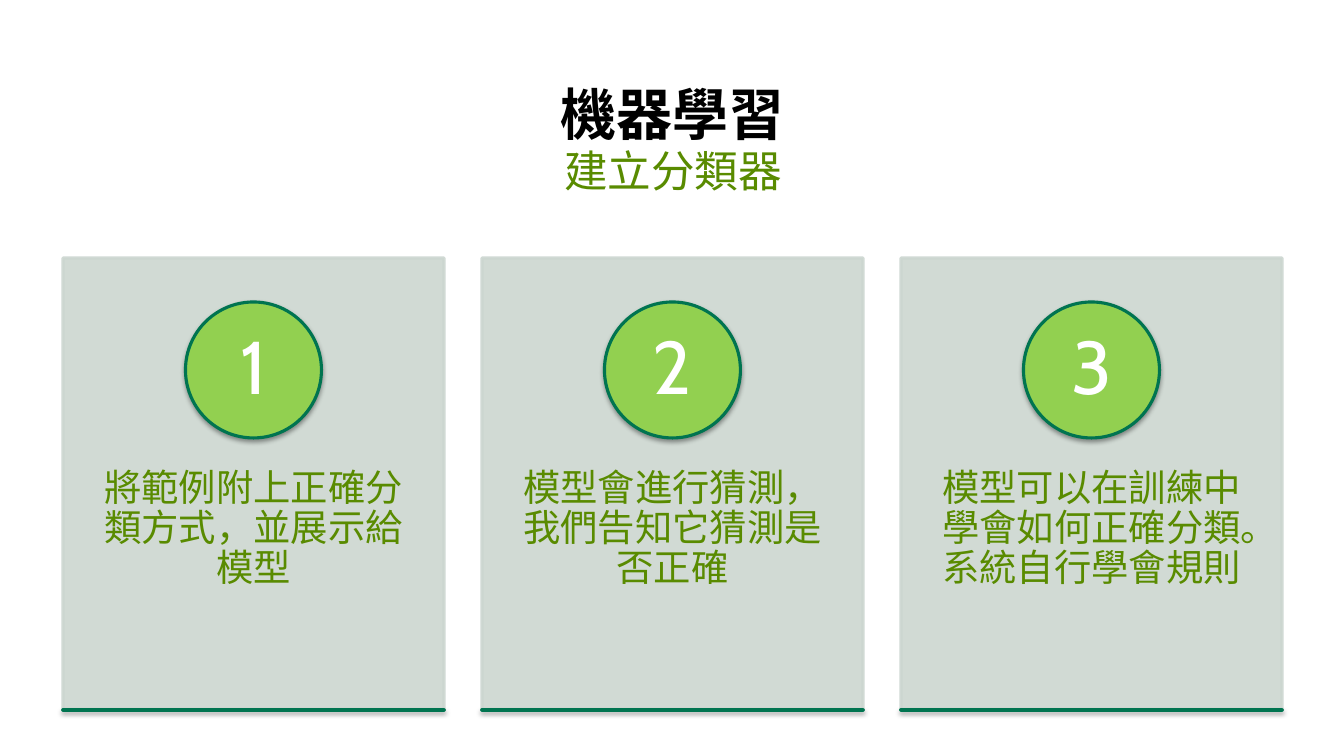
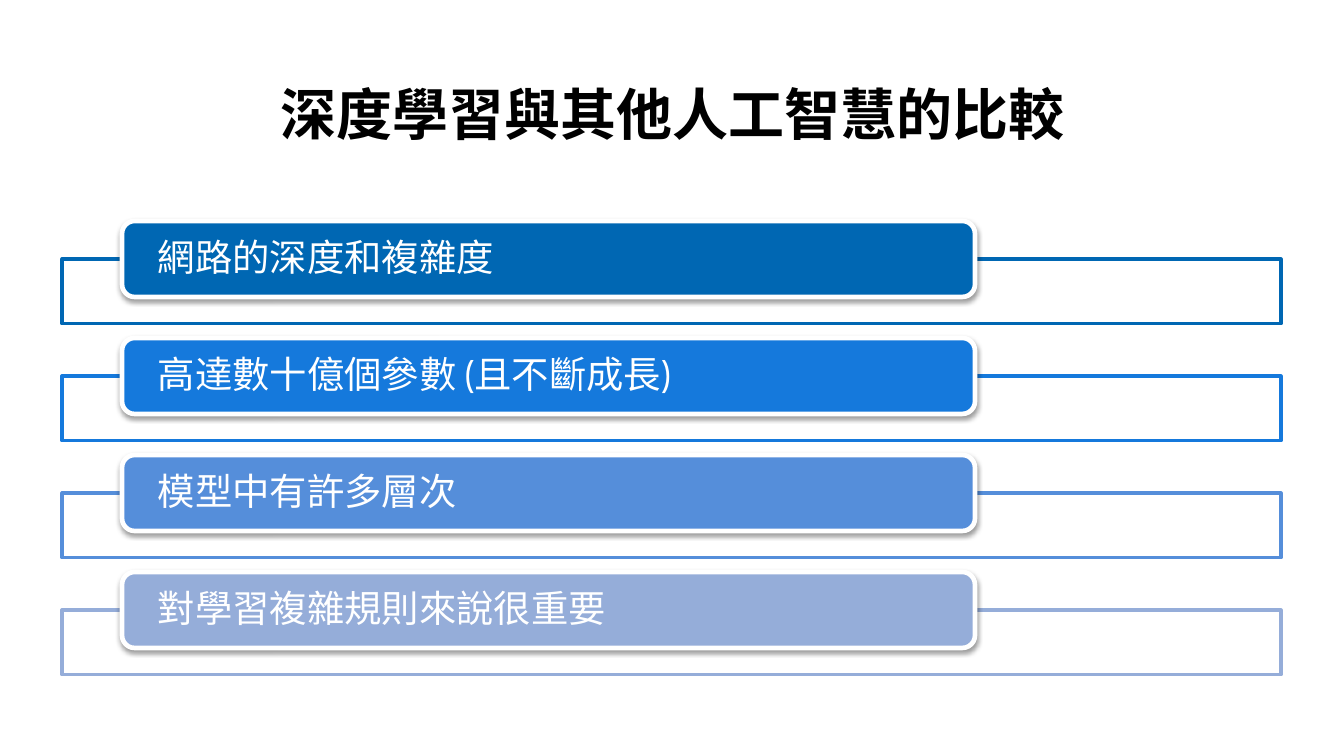
import lxml.etree
import pptx
import pptx.dml.color
import pptx.enum.shapes
import pptx.enum.text
import pptx.oxml.ns
import pptx.util

RGBColor = pptx.dml.color.RGBColor
MSO_SHAPE = pptx.enum.shapes.MSO_SHAPE
PP_ALIGN = pptx.enum.text.PP_ALIGN
MSO_ANCHOR = pptx.enum.text.MSO_ANCHOR
qn = pptx.oxml.ns.qn

PX_PER_INCH = 112
FONT = "Cabin"
BLACK = RGBColor(0x00, 0x00, 0x00)
WHITE = RGBColor(0xFF, 0xFF, 0xFF)
OLIVE = RGBColor(0x59, 0x8B, 0x00)
LIME = RGBColor(0x92, 0xD0, 0x50)
FOREST = RGBColor(0x00, 0x74, 0x50)
SAGE = RGBColor(0xCC, 0xD6, 0xD0)

SECTION_LAYOUT = 2
TITLE_ONLY_LAYOUT = 5

STEPS = [
    "將範例附上正確分類方式，並展示給模型",
    "模型會進行猜測，我們告知它猜測是否正確",
    "模型可以在訓練中學會如何正確分類。系統自行學會規則",
]
POINTS = [
    ("網路的深度和複雜度", RGBColor(0x00, 0x67, 0xB3)),
    ("高達數十億個參數 (且不斷成長)", RGBColor(0x15, 0x79, 0xDC)),
    ("模型中有許多層次", RGBColor(0x55, 0x8E, 0xDA)),
    ("對學習複雜規則來說很重要", RGBColor(0x95, 0xAD, 0xD9)),
]


def px(length):
    return pptx.util.Inches(length / PX_PER_INCH)


def write(box, text, size, color, align=PP_ALIGN.CENTER,
          anchor=MSO_ANCHOR.MIDDLE, inset=(11, 6), bold=False):
    frame = box.text_frame
    frame.text = text
    frame.word_wrap = True
    frame.auto_size = pptx.enum.text.MSO_AUTO_SIZE.NONE
    frame.vertical_anchor = anchor
    frame.margin_left = frame.margin_right = px(inset[0])
    frame.margin_top = frame.margin_bottom = px(inset[1])
    para = frame.paragraphs[0]
    para.alignment = align
    para.line_spacing = 0.9
    font = para.runs[0].font
    font.name = FONT
    font.size = pptx.util.Pt(size)
    font.bold = bold
    font.color.rgb = color
    return para


def place(box, left, top, width, height):
    box.left, box.top = px(left), px(top)
    box.width, box.height = px(width), px(height)


def add_title(page, text):
    title = page.shapes.title
    place(title, 62, 81, 1222, 73)
    write(title, text, 36, BLACK, anchor=MSO_ANCHOR.BOTTOM, bold=True)


def add_subtitle(page, text):
    body = page.placeholders[1]
    place(body, 62, 144, 1222, 64)
    para = write(body, text, 28, OLIVE, anchor=MSO_ANCHOR.TOP)
    para.space_before = para.space_after = pptx.util.Pt(9)


def add_block(page, kind, bounds, fill, line, line_width=2, shadow=False):
    block = page.shapes.add_shape(kind, *map(px, bounds))
    block.fill.solid()
    block.fill.fore_color.rgb = fill
    block.line.color.rgb = line
    block.line.width = pptx.util.Pt(line_width)
    block.shadow.inherit = False
    if shadow:
        add_shadow(block)
    return block


def add_shadow(block):
    effects = block.element.spPr.find(qn("a:effectLst"))
    outer = lxml.etree.SubElement(
        effects, qn("a:outerShdw"), blurRad=str(pptx.util.Pt(3.1)),
        dist=str(pptx.util.Pt(1.6)), dir="5400000", rotWithShape="0")
    color = lxml.etree.SubElement(outer, qn("a:srgbClr"), val=str(BLACK))
    lxml.etree.SubElement(color, qn("a:alpha"), val="38000")


def make_translucent(element):
    for color in element.iter(qn("a:srgbClr")):
        lxml.etree.SubElement(color, qn("a:alpha"), val="90000")


def add_step_card(page, index, text):
    left, top, width, height = 63 + 419 * index, 258, 381, 452
    badge = 136
    card = add_block(page, MSO_SHAPE.RECTANGLE, (left, top, width, height), SAGE, SAGE)
    make_translucent(card.element.spPr)
    label = page.shapes.add_textbox(px(left), px(429), px(width), px(271))
    write(label, text, 24, OLIVE, anchor=MSO_ANCHOR.TOP, inset=(30, 40))
    circle = add_block(page, MSO_SHAPE.OVAL,
                       (left + (width - badge) / 2, 302, badge, badge),
                       LIME, FOREST, shadow=True)
    write(circle, str(index + 1), 48, WHITE, inset=(10, 1))
    add_block(page, MSO_SHAPE.RECTANGLE, (left, top + height, width, 0),
              FOREST, FOREST, shadow=True)


def add_point_row(page, index, text, color):
    top = 221 + 117 * index
    frame = add_block(page, MSO_SHAPE.RECTANGLE, (62, top + 38, 1219, 65), WHITE, color)
    make_translucent(frame.element.spPr.find(qn("a:solidFill")))
    pill = add_block(page, MSO_SHAPE.ROUNDED_RECTANGLE, (122, top, 853, 76),
                     color, WHITE, line_width=3, shadow=True)
    write(pill, text, 24, WHITE, align=PP_ALIGN.LEFT, inset=(32, 0))


def add_page(deck, layout, title):
    page = deck.slides.add_slide(deck.slide_layouts[layout])
    add_title(page, title)
    return page


def main():
    deck = pptx.Presentation()
    deck.slide_width, deck.slide_height = px(1344), px(756)

    page = add_page(deck, SECTION_LAYOUT, "機器學習")
    for index, text in enumerate(STEPS):
        add_step_card(page, index, text)
    add_subtitle(page, "建立分類器")

    page = add_page(deck, TITLE_ONLY_LAYOUT, "深度學習與其他人工智慧的比較")
    for index, (text, color) in enumerate(POINTS):
        add_point_row(page, index, text, color)

    deck.save("out.pptx")


if __name__ == "__main__":
    main()
